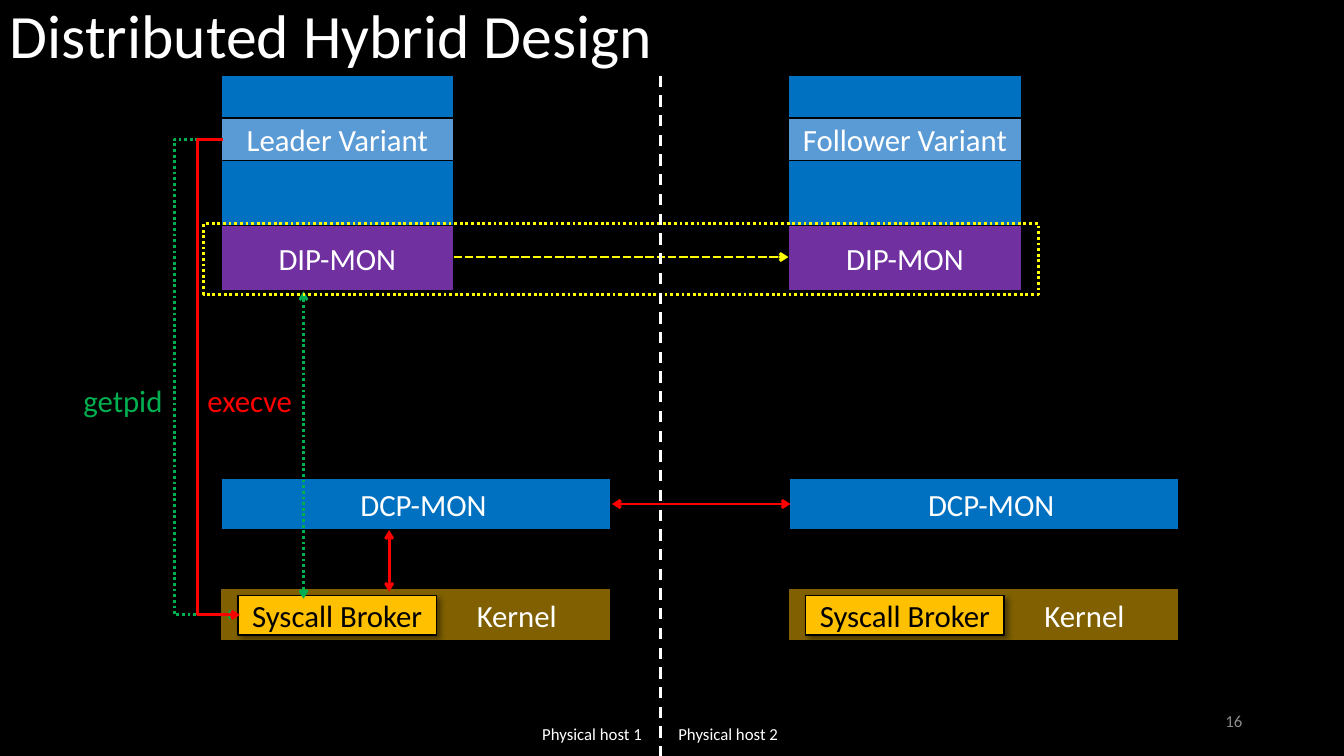
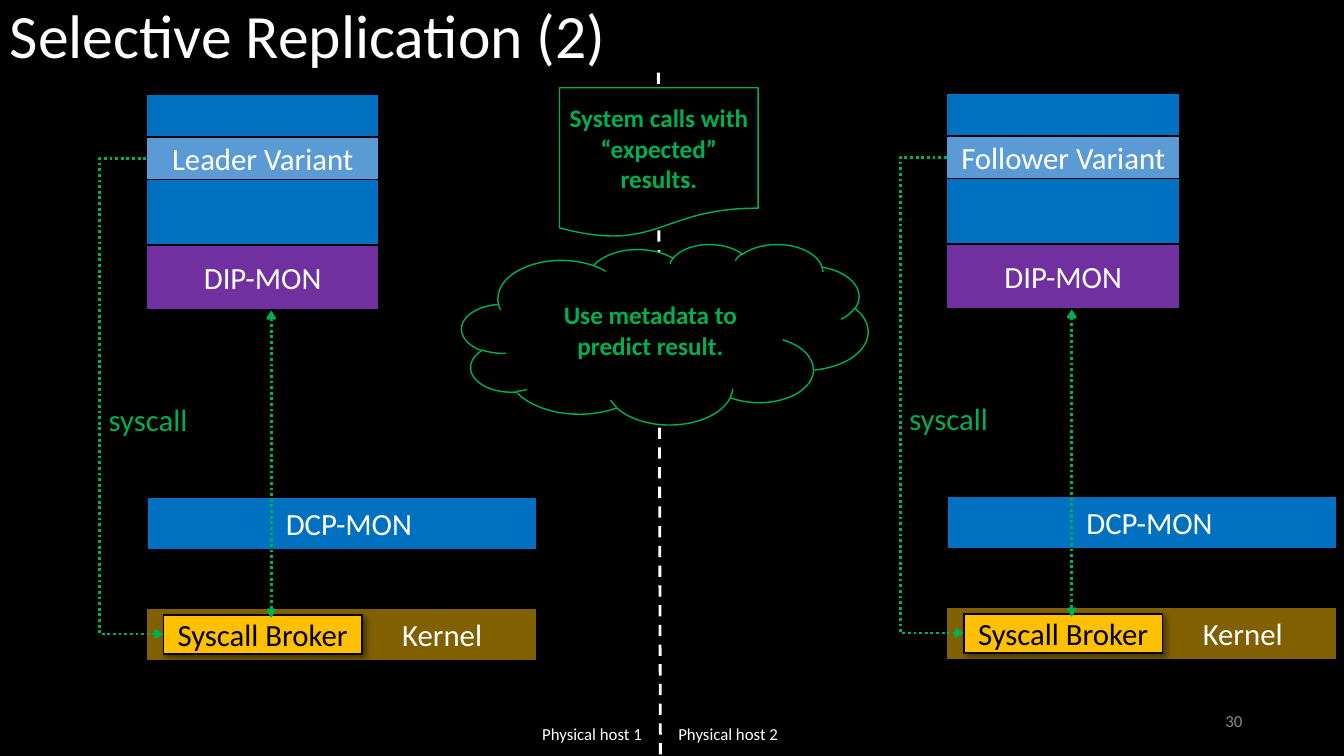
from typing import NamedTuple

from lxml import etree
from pptx import Presentation
from pptx.dml.color import RGBColor
from pptx.enum.dml import MSO_LINE
from pptx.enum.shapes import MSO_CONNECTOR, MSO_SHAPE
from pptx.enum.text import MSO_ANCHOR, PP_ALIGN
from pptx.oxml.ns import qn
from pptx.util import Inches, Pt

RECT, CLOUD, DOCUMENT = MSO_SHAPE.RECTANGLE, MSO_SHAPE.CLOUD, MSO_SHAPE.FLOWCHART_DOCUMENT
STRAIGHT, ELBOW = MSO_CONNECTOR.STRAIGHT, MSO_CONNECTOR.ELBOW
DOTS, SHORT_DASH, DASH = MSO_LINE.ROUND_DOT, MSO_LINE.SQUARE_DOT, MSO_LINE.DASH
LEFT, CENTER, RIGHT = PP_ALIGN.LEFT, PP_ALIGN.CENTER, PP_ALIGN.RIGHT
TOP, MIDDLE = MSO_ANCHOR.TOP, MSO_ANCHOR.MIDDLE

FONT = "Calibri"
BLACK, WHITE, GRAY = "000000", "FFFFFF", "8C8C8C"
BLUE, LIGHT_BLUE, PURPLE = "0070C0", "5B9BD5", "7030A0"
BROWN, GOLD = "806000", "FFC000"
GREEN, RED, YELLOW = "00B050", "FF0000", "FFFF00"


class Host(NamedTuple):
    """Top left corner of one host's diagram, and the variant it runs."""
    x: float
    y: float
    variant: str


class Block(NamedTuple):
    """One box of a host, placed relative to the host's corner."""
    dx: float
    dy: float
    w: float
    h: float
    fill: str
    text: str = ""
    color: str = WHITE
    indent: float = 0.1
    shadow: bool = False


STACK = Block(0, 0, 2.31, 2.12, BLUE, shadow=True)
KERNEL = Block(0, 5.09, 3.87, 0.52, BROWN, "Kernel", indent=2.1, shadow=True)
DCP = Block(0.01, 3.99, 3.86, 0.52, BLUE, "DCP-MON", indent=0.24)
BROKER = Block(0.17, 5.16, 1.97, 0.39, GOLD, "Syscall Broker", BLACK, shadow=True)
DIP = Block(0, 1.49, 2.31, 0.64, PURPLE, "DIP-MON")


def rgb(color: str) -> RGBColor:
    return RGBColor.from_string(color)


# Text
def write(sp, text: str, *, size=22, color=WHITE, bold=False, align=LEFT,
          anchor=TOP, indent=0.1, right=0.1, spacing=None):
    tf = sp.text_frame
    tf.word_wrap = True
    tf.vertical_anchor = anchor
    tf.margin_left, tf.margin_right = Inches(indent), Inches(right)
    p = tf.paragraphs[0]
    p.alignment = align
    if spacing:
        p.line_spacing = spacing
    r = p.add_run()
    r.text = text
    r.font.name, r.font.size, r.font.bold = FONT, Pt(size), bold
    r.font.color.rgb = rgb(color)


def add_text(s, x: float, y: float, w: float, h: float, text: str, **fmt):
    write(s.shapes.add_textbox(Inches(x), Inches(y), Inches(w), Inches(h)), text, **fmt)


# Shapes and lines
def add_shadow(sp):
    effects = sp._element.spPr.find(qn("a:effectLst"))
    outer = etree.SubElement(effects, qn("a:outerShdw"), blurRad=str(Pt(4)),
                             dist=str(Pt(3)), dir=str(45 * 60000), algn="tl", rotWithShape="0")
    tint = etree.SubElement(outer, qn("a:srgbClr"), val=BLACK)
    etree.SubElement(tint, qn("a:alpha"), val="40000")


def add_box(s, kind, x: float, y: float, w: float, h: float, *,
            fill=None, line=BLACK, width=1, dash=None, shadow=False):
    sp = s.shapes.add_shape(kind, Inches(x), Inches(y), Inches(w), Inches(h))
    sp.shadow.inherit = False
    if fill:
        sp.fill.solid()
        sp.fill.fore_color.rgb = rgb(fill)
    else:
        sp.fill.background()
    sp.line.color.rgb = rgb(line)
    sp.line.width = Pt(width)
    if dash:
        sp.line.dash_style = dash
    if shadow:
        add_shadow(sp)
    return sp


def add_line(s, x1: float, y1: float, x2: float, y2: float, color: str, *,
             dash=None, head=False, tail=False, bend=None):
    """Draw a line; bend is the x of the upright part of an elbow."""
    kind = STRAIGHT if bend is None else ELBOW
    cxn = s.shapes.add_connector(kind, Inches(x1), Inches(y1), Inches(x2), Inches(y2))
    cxn.line.color.rgb = rgb(color)
    cxn.line.width = Pt(2)
    if dash:
        cxn.line.dash_style = dash
    spPr = cxn._element.spPr
    ln = spPr.find(qn("a:ln"))
    for tag, wanted in (("a:headEnd", head), ("a:tailEnd", tail)):
        if wanted:
            etree.SubElement(ln, qn(tag), type="arrow")
    if bend is not None:
        guides = spPr.find(qn("a:prstGeom")).find(qn("a:avLst"))
        share = round((bend - x1) / (x2 - x1) * 100000)
        etree.SubElement(guides, qn("a:gd"), name="adj1", fmla=f"val {share}")
    etree.SubElement(spPr, qn("a:effectLst"))


# Parts of a host
def add_host(s, host: Host):
    variant = Block(0, 0.42, 2.31, 0.42, LIGHT_BLUE, host.variant)
    for b in (STACK, variant, KERNEL, DCP, BROKER, DIP):
        sp = add_box(s, RECT, host.x + b.dx, host.y + b.dy, b.w, b.h,
                     fill=b.fill, shadow=b.shadow)
        if b.text:
            # The longest variant name needs narrow margins
            margin = 0.05 if b is variant else 0.1
            write(sp, b.text, color=b.color, align=CENTER, anchor=MIDDLE,
                  indent=margin if b is variant else b.indent, right=margin)


def add_call(s, host: Host, color: str, *, out: float, start=0.0, dash=None):
    """Arrow from the variant, round the left side, to the broker."""
    add_line(s, host.x + start, host.y + 0.63, host.x + start + 0.17, host.y + 5.35,
             color, dash=dash, tail=True, bend=host.x - out)


def add_broker_link(s, host: Host, dx: float):
    add_line(s, host.x + dx, host.y + 5.19, host.x + dx, host.y + 2.14,
             GREEN, dash=DOTS, head=True, tail=True)


# Frame of every slide
def new_slide(prs, title: str, number: int, hosts: tuple[Host, ...]):
    s = prs.slides.add_slide(prs.slide_layouts[6])
    add_text(s, 9.42, 6.95, 3, 0.4, str(number), size=12, color=GRAY,
             align=RIGHT, anchor=MIDDLE)
    add_text(s, 0, 0, 11.5, 1.45, title, size=44, spacing=0.9)
    for x, label in ((5.28, "Physical host 1"), (6.63, "Physical host 2")):
        add_text(s, x, 7.13, 1.3, 0.37, label, size=12)
    for host in hosts:
        add_host(s, host)
    return s


def add_hybrid_design(prs):
    leader = Host(2.19, 0.75, "Leader Variant")
    follower = Host(7.82, 0.75, "Follower Variant")
    s = new_slide(prs, "Distributed Hybrid Design", 16, (leader, follower))

    # System calls
    add_call(s, leader, GREEN, out=0.46, dash=DOTS)
    add_text(s, 0.73, 3.74, 1.1, 0.47, "getpid", color=GREEN)
    add_broker_link(s, leader, 0.82)
    add_line(s, 3.86, 5.87, 3.86, 5.26, RED, head=True, tail=True)

    # Links between the hosts
    add_line(s, 7.84, 5, 6.07, 5, RED, head=True, tail=True)
    add_line(s, 4.5, 2.55, 7.82, 2.55, YELLOW, dash=SHORT_DASH, tail=True)
    add_call(s, leader, RED, out=0.23, start=0.02)
    add_box(s, RECT, 2.02, 2.22, 8.28, 0.7, line=YELLOW, width=2, dash=DOTS)
    add_line(s, 6.55, 0.75, 6.55, 7.5, WHITE, dash=DASH)
    add_text(s, 1.96, 3.74, 1.1, 0.47, "execve", color=RED)


def add_selective_replication(prs):
    hosts = (Host(1.45, 0.94, "Leader Variant"), Host(9.39, 0.93, "Follower Variant"))
    s = new_slide(prs, "Selective Replication (2)", 30, hosts)
    add_line(s, 6.53, 0.72, 6.55, 7.5, WHITE, dash=DASH)

    # Notes over the divider
    cloud = add_box(s, CLOUD, 4.58, 2.42, 4.03, 1.79, fill=BLACK, line=GREEN)
    write(cloud, "Use metadata to predict result.", size=18, color=GREEN, bold=True,
          align=CENTER, anchor=MIDDLE)
    record = add_box(s, DOCUMENT, 5.55, 0.87, 1.97, 1.49, fill=BLACK, line=GREEN)
    write(record, "System calls with “expected” results.", size=18, color=GREEN,
          bold=True, align=CENTER, anchor=MIDDLE, indent=0.08, right=0.08)

    # System calls
    for host in hosts:
        add_broker_link(s, host, 1.24)
        add_call(s, host, GREEN, out=0.46, dash=DOTS)
        add_text(s, host.x - 0.47, host.y + 2.99, 1.1, 0.47, "syscall", color=GREEN)


def main():
    prs = Presentation()
    prs.slide_width, prs.slide_height = Inches(13.33), Inches(7.5)
    bg = prs.slide_master.background.fill
    bg.solid()
    bg.fore_color.rgb = rgb(BLACK)
    add_hybrid_design(prs)
    add_selective_replication(prs)
    prs.save("out.pptx")


if __name__ == "__main__":
    main()
